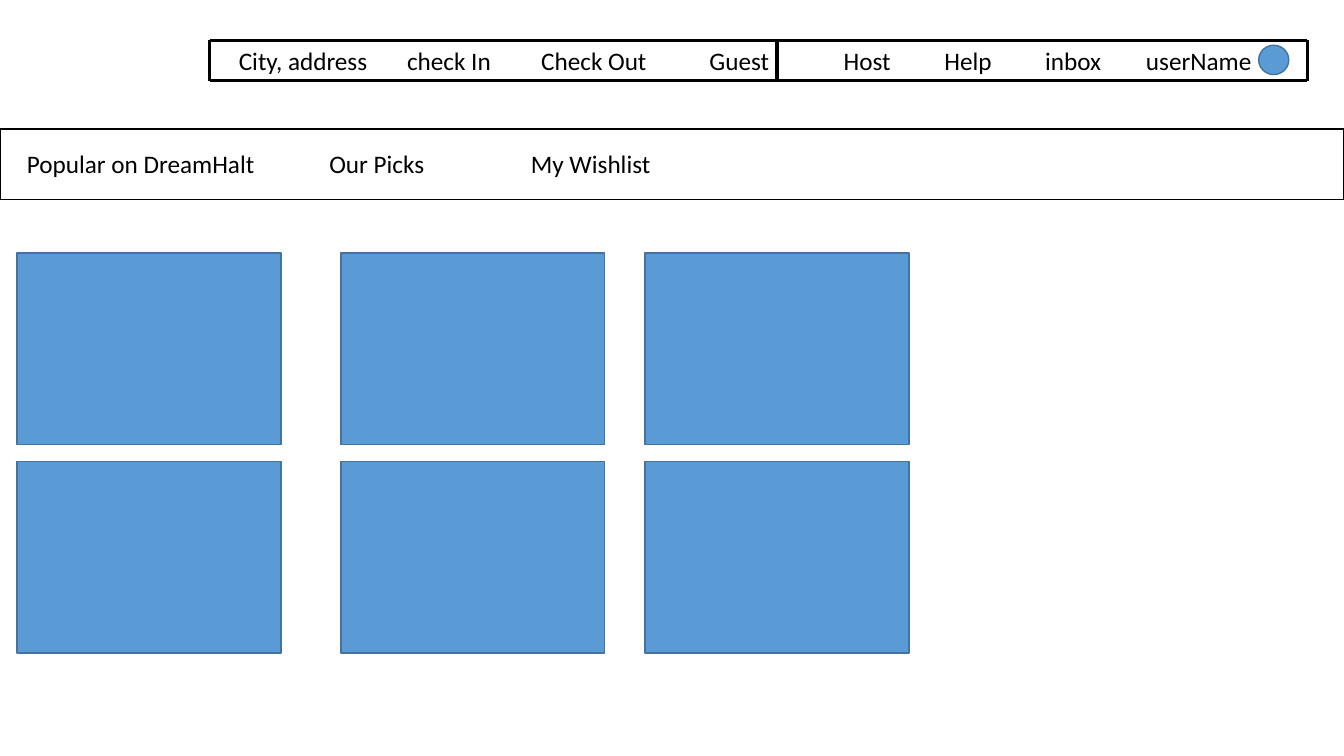
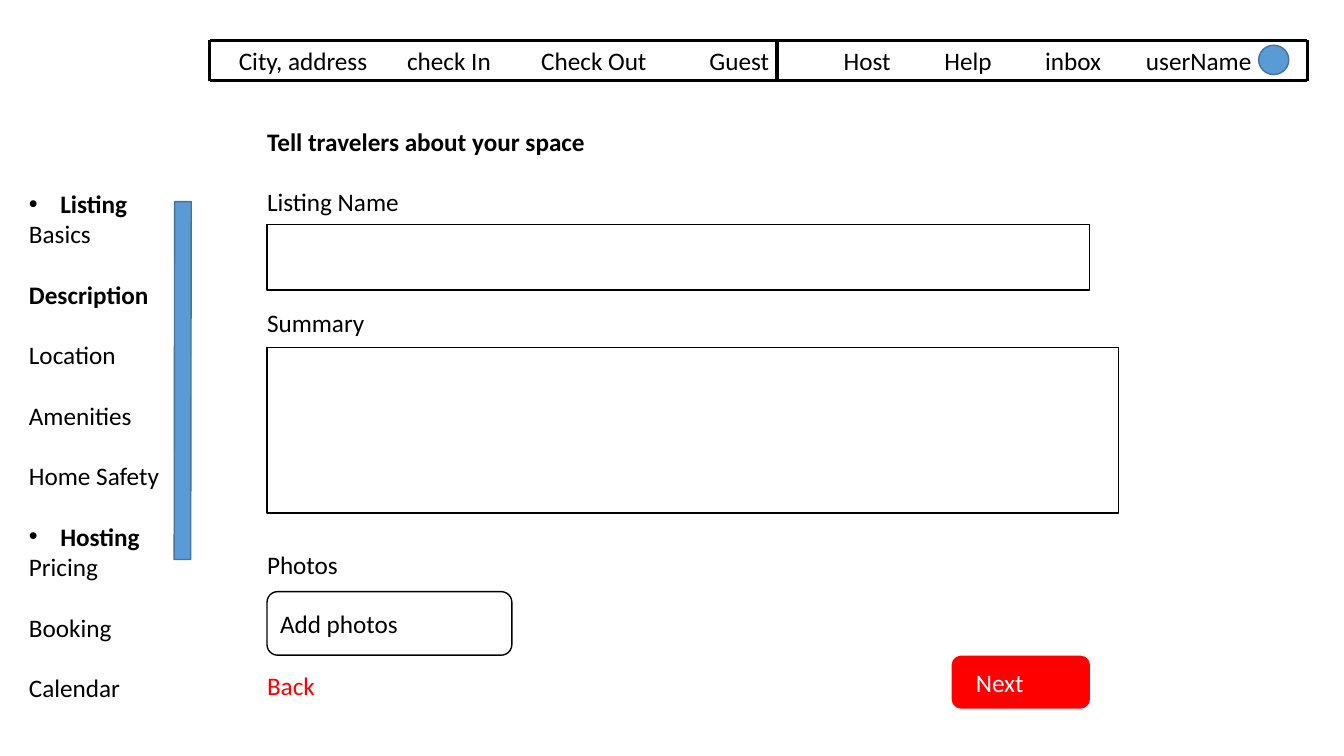
from dataclasses import dataclass
from itertools import product

from lxml.etree import SubElement
from pptx import Presentation
from pptx.dml.color import RGBColor
from pptx.enum.shapes import MSO_CONNECTOR, MSO_SHAPE
from pptx.enum.text import MSO_ANCHOR, MSO_AUTO_SIZE, PP_ALIGN
from pptx.oxml.ns import qn
from pptx.util import Cm, Pt


@dataclass(frozen=True)
class Theme:
    font: str = "Calibri"
    text_size: float = 18
    line_gap: float = 21.6
    black: str = "000000"
    white: str = "FFFFFF"
    blue: str = "5B9BD5"
    blue_edge: str = "43739E"
    red: str = "FF0000"
    thin: float = 1
    frame: float = 2.25
    divider: float = 3
    inset: float = 0.25
    text_height: float = 1.02


THEME = Theme()
TITLE_ONLY, BLANK = 5, 6


def write(frame, text, color=THEME.black, bold=False, bullet=False,
          space_before=0, tabs=(), new=False):
    """Write one paragraph, in the first paragraph or in a new one; tabs are in cm."""
    para = frame.add_paragraph() if new else frame.paragraphs[0]
    para.alignment = PP_ALIGN.LEFT
    para.space_before = Pt(space_before)
    span = para.add_run()
    span.text = text
    span.font.name = THEME.font
    span.font.size = Pt(THEME.text_size)
    span.font.bold = bold
    span.font.color.rgb = RGBColor.from_string(color)
    properties = para._p.get_or_add_pPr()
    if bullet:
        properties.set("marL", str(Cm(0.79)))
        properties.set("indent", str(-Cm(0.79)))
        SubElement(properties, qn("a:buFont"), typeface="Arial")
        SubElement(properties, qn("a:buChar"), char="•")
    if tabs:
        stops = SubElement(properties, qn("a:tabLst"))
        for position in tabs:
            SubElement(stops, qn("a:tab"), pos=str(Cm(position)), algn="l")


class Wireframe:
    def __init__(self, deck, theme):
        self.deck = deck
        self.theme = theme
        self.slide = None

    def new_page(self, layout):
        self.slide = self.deck.slides.add_slide(self.deck.slide_layouts[layout])

    def prepare(self, frame, anchor=MSO_ANCHOR.TOP, left_inset=None):
        frame.word_wrap = True
        frame.auto_size = MSO_AUTO_SIZE.NONE
        frame.vertical_anchor = anchor
        frame.margin_left = Cm(left_inset or self.theme.inset)
        frame.margin_right = Cm(self.theme.inset)
        frame.margin_top = frame.margin_bottom = Cm(0.13)
        return frame

    def title(self, text, left, top, width):
        box = self.slide.shapes.title
        box.left, box.top = Cm(left), Cm(top)
        box.width, box.height = Cm(width), Cm(self.theme.text_height)
        write(self.prepare(box.text_frame), text, bold=True)

    def text_box(self, left, top, width, height=None):
        box = self.slide.shapes.add_textbox(
            Cm(left), Cm(top), Cm(width), Cm(height or self.theme.text_height))
        return self.prepare(box.text_frame)

    def label(self, text, left, top, width, **style):
        write(self.text_box(left, top, width), text, **style)

    def shape(self, kind, left, top, width, height, fill, edge):
        box = self.slide.shapes.add_shape(kind, Cm(left), Cm(top), Cm(width), Cm(height))
        box.shadow.inherit = False
        box.fill.solid()
        box.fill.fore_color.rgb = RGBColor.from_string(fill)
        box.line.color.rgb = RGBColor.from_string(edge)
        box.line.width = Pt(self.theme.thin)
        return box

    def blue_shape(self, kind, left, top, width, height):
        return self.shape(kind, left, top, width, height,
                          self.theme.blue, self.theme.blue_edge)

    def field(self, left, top, width, height):
        return self.shape(MSO_SHAPE.RECTANGLE, left, top, width, height,
                          self.theme.white, self.theme.black)

    def button(self, text, left, top, width, height, fill, edge, color, left_inset=None):
        box = self.shape(MSO_SHAPE.ROUNDED_RECTANGLE, left, top, width, height, fill, edge)
        frame = self.prepare(box.text_frame, MSO_ANCHOR.MIDDLE, left_inset)
        write(frame, text, color=color)

    def line(self, start, end, weight):
        connector = self.slide.shapes.add_connector(
            MSO_CONNECTOR.STRAIGHT, *(Cm(value) for value in (*start, *end)))
        connector.line.color.rgb = RGBColor.from_string(self.theme.black)
        connector.line.width = Pt(weight)
        SubElement(connector._element.spPr, qn("a:effectLst"))

    def navigation(self):
        """Draw the framed search and account bar that every page carries."""
        entries = ("City, address", "check In", "Check Out", "Guest",
                   "Host", "Help", "inbox", "userName")
        self.label("\t".join(entries), 5.77, 1.02, 27.66,
                   tabs=(4.24, 7.62, 11.86, 15.24, 17.78, 20.32, 22.86))
        left, right, top, bottom, middle = 5.28, 32.94, 1.02, 2.03, 19.58
        self.line((middle, top), (middle, bottom), self.theme.divider)
        for y in (bottom, top):
            self.line((left, y), (right, y), self.theme.frame)
        for x in (right, left):
            self.line((x, top), (x, bottom), self.theme.frame)
        self.blue_shape(MSO_SHAPE.OVAL, 31.72, 1.14, 0.76, 0.74)

    def sidebar(self, sections, current):
        frame = self.text_box(0.48, 4.62, 5.5, 14.2)
        gap = self.theme.line_gap
        for number, (heading, entries) in enumerate(sections.items()):
            write(frame, heading, bold=True, bullet=True, new=number > 0,
                  space_before=gap if number else 0)
            for index, entry in enumerate(entries):
                write(frame, entry, bold=entry == current, new=True,
                      space_before=gap if index else 0)
        bar = self.blue_shape(MSO_SHAPE.PARALLELOGRAM, 4.39, 5.08, 0.43, 9.02)
        bar.adjustments[0] = 0.028


def build_home(wireframe):
    wireframe.new_page(BLANK)
    wireframe.navigation()
    wireframe.field(0, 3.25, 33.87, 1.78)
    wireframe.label("Popular on DreamHalt\tOur Picks\tMy Wishlist",
                    0.43, 3.61, 22.02, tabs=(7.62, 12.7))
    for left, top in product((0.43, 8.59, 16.26), (6.38, 11.63)):
        wireframe.blue_shape(MSO_SHAPE.RECTANGLE, left, top, 6.65, 4.83)


def build_listing_form(wireframe):
    theme = wireframe.theme
    wireframe.new_page(TITLE_ONLY)
    wireframe.navigation()
    wireframe.sidebar({
        "Listing": ("Basics", "Description", "Location", "Amenities", "Home Safety"),
        "Hosting": ("Pricing", "Booking", "Calendar"),
    }, current="Description")

    text_left, field_left = 6.48, 6.73
    wireframe.title("Tell travelers about your space", text_left, 3.05, 26.21)
    for text, top in (("Listing Name", 4.57), ("Summary", 7.62), ("Photos", 13.72)):
        wireframe.label(text, text_left, top, 10)
    wireframe.label("Back", text_left, 16.76, 10, color=theme.red)
    wireframe.field(field_left, 5.66, 20.73, 1.65)
    wireframe.field(field_left, 8.76, 21.46, 4.17)
    wireframe.button("Next", 24, 16.54, 3.45, 1.3,
                     theme.red, theme.red, theme.white, left_inset=0.53)
    wireframe.button("Add photos", field_left, 14.91, 6.17, 1.6,
                     theme.white, theme.black, theme.black)


def main():
    deck = Presentation()
    deck.slide_width, deck.slide_height = Cm(33.87), Cm(19.05)
    wireframe = Wireframe(deck, THEME)
    build_home(wireframe)
    build_listing_form(wireframe)
    deck.save("out.pptx")


if __name__ == "__main__":
    main()
